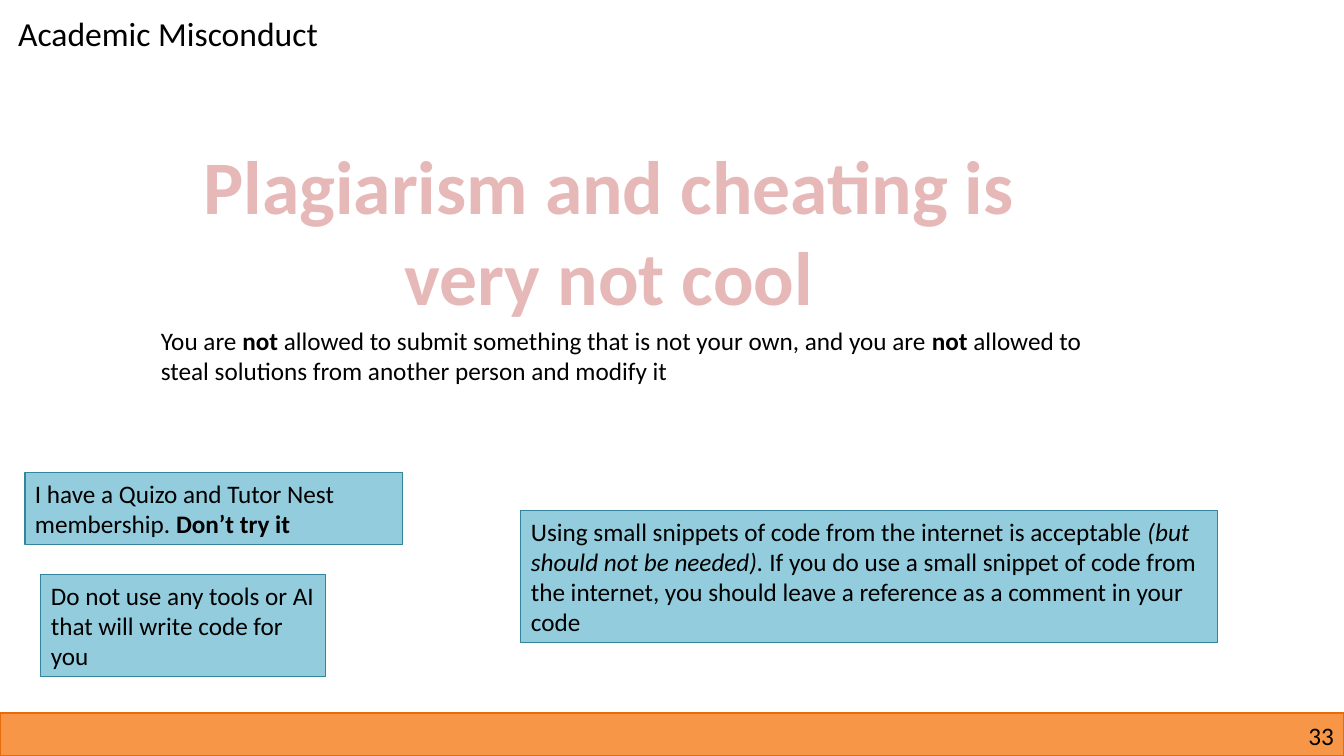
import dataclasses

import lxml.etree
import pptx
import pptx.dml.color
import pptx.enum.shapes
import pptx.enum.text
import pptx.oxml.ns
import pptx.util

PX = 914400 / 100.8
WIDTH, HEIGHT = 1344, 756
ALIGN = pptx.enum.text.PP_ALIGN
PLAIN, BOLD, ITALIC = "plain", "bold", "italic"


@dataclasses.dataclass(frozen=True)
class Theme:
    """Colours, font and type sizes of the slide."""

    font: str = "Calibri"
    text: str = "000000"
    band: str = "F79646"
    band_edge: str = "E46C0A"
    note: str = "93CDDD"
    note_edge: str = "31859C"
    headline: str = "E6B9B8"
    headline_edge: str = "C0504D"
    title_size: int = 24
    headline_size: int = 54
    body_size: int = 18


THEME = Theme()


def emu(px):
    """Turn pixels into EMU."""
    return pptx.util.Emu(round(px * PX))


def rgb(colour):
    """Turn a hex string into a colour."""
    return pptx.dml.color.RGBColor.from_string(colour)


def write(frame, parts, size, colour=THEME.text, align=ALIGN.LEFT):
    """Fill a text frame with one paragraph of (text, style) parts."""
    frame.word_wrap = True
    frame.auto_size = pptx.enum.text.MSO_AUTO_SIZE.SHAPE_TO_FIT_TEXT
    frame.vertical_anchor = pptx.enum.text.MSO_ANCHOR.TOP
    paragraph = frame.paragraphs[0]
    paragraph.alignment = align
    for text, style in parts:
        run = paragraph.add_run()
        run.text = text
        run.font.name = THEME.font
        run.font.size = pptx.util.Pt(size)
        run.font.color.rgb = rgb(colour)
        run.font.bold = style == BOLD
        run.font.italic = style == ITALIC


def add_panel(slide, box, fill, edge, weight):
    """Draw a filled, outlined rectangle."""
    panel = slide.shapes.add_shape(
        pptx.enum.shapes.MSO_SHAPE.RECTANGLE, *map(emu, box))
    panel.shadow.inherit = False
    panel.fill.solid()
    panel.fill.fore_color.rgb = rgb(fill)
    panel.line.color.rgb = rgb(edge)
    panel.line.width = pptx.util.Pt(weight)
    return panel


def add_text(slide, box, parts, size, **look):
    """Add a text box and return its frame."""
    frame = slide.shapes.add_textbox(*map(emu, box)).text_frame
    write(frame, parts, size, **look)
    return frame


def add_footer(slide, box, number):
    """Draw the bottom band with the page number at its right."""
    left, top, width, height = box
    add_panel(slide, box, THEME.band, THEME.band_edge, 1)
    page_box = (left + width - 319, top + 7, 309, 30)
    page = add_text(slide, page_box, [(number, PLAIN)], THEME.body_size,
                    align=ALIGN.RIGHT)
    page.margin_left = page.margin_right = 0
    page.margin_top = page.margin_bottom = 0


def add_title(slide, box, text):
    """Place the slide title in its placeholder."""
    title = slide.shapes.title
    title.left, title.top, title.width, title.height = map(emu, box)
    write(title.text_frame, [(text, PLAIN)], THEME.title_size)
    title.text_frame.word_wrap = False


def add_headline(slide, box, text):
    """Add the large outlined headline."""
    frame = add_text(slide, box, [(text, BOLD)], THEME.headline_size,
                     colour=THEME.headline, align=ALIGN.CENTER)
    qn = pptx.oxml.ns.qn
    properties = frame.paragraphs[0].runs[0].font._element
    outline = lxml.etree.Element(qn("a:ln"), w=str(pptx.util.Pt(1.75)))
    fill = lxml.etree.SubElement(outline, qn("a:solidFill"))
    lxml.etree.SubElement(fill, qn("a:srgbClr"), val=THEME.headline_edge)
    properties.insert(0, outline)


def add_note(slide, box, parts):
    """Add a blue note."""
    note = add_panel(slide, box, THEME.note, THEME.note_edge, 0.75)
    write(note.text_frame, parts, THEME.body_size)


def build_misconduct_slide(deck):
    """Build the academic misconduct slide."""
    slide = deck.slides.add_slide(deck.slide_layouts[5])
    add_footer(slide, (0, 713, WIDTH, 43), "33")
    add_title(slide, (8, 8, 351, 50), "Academic Misconduct")
    add_headline(slide, (176, 134, 866, 188),
                 "Plagiarism and cheating is very not cool")
    add_text(slide, (151, 320, 975, 72), [
        ("You are ", PLAIN),
        ("not ", BOLD),
        ("allowed to submit something that is not your own, and you are ",
         PLAIN),
        ("not", BOLD),
        (" allowed to steal solutions from another person and modify it",
         PLAIN),
    ], THEME.body_size)
    notes = [
        ((25, 473, 378, 72), [
            ("I have a Quizo and Tutor Nest membership. ", PLAIN),
            ("Don’t try it", BOLD),
        ]),
        ((41, 575, 285, 102), [
            ("Do not use any tools or AI that will write code for you",
             PLAIN),
        ]),
        ((521, 511, 697, 132), [
            ("Using small snippets of code from the internet is acceptable ",
             PLAIN),
            ("(but should not be needed). ", ITALIC),
            ("If you do use a small snippet of code from the internet, you "
             "should leave a reference as a comment in your code", PLAIN),
        ]),
    ]
    for box, parts in notes:
        add_note(slide, box, parts)


def main():
    """Create the deck and save it."""
    deck = pptx.Presentation()
    deck.slide_width, deck.slide_height = emu(WIDTH), emu(HEIGHT)
    build_misconduct_slide(deck)
    deck.save("out.pptx")


if __name__ == "__main__":
    main()
